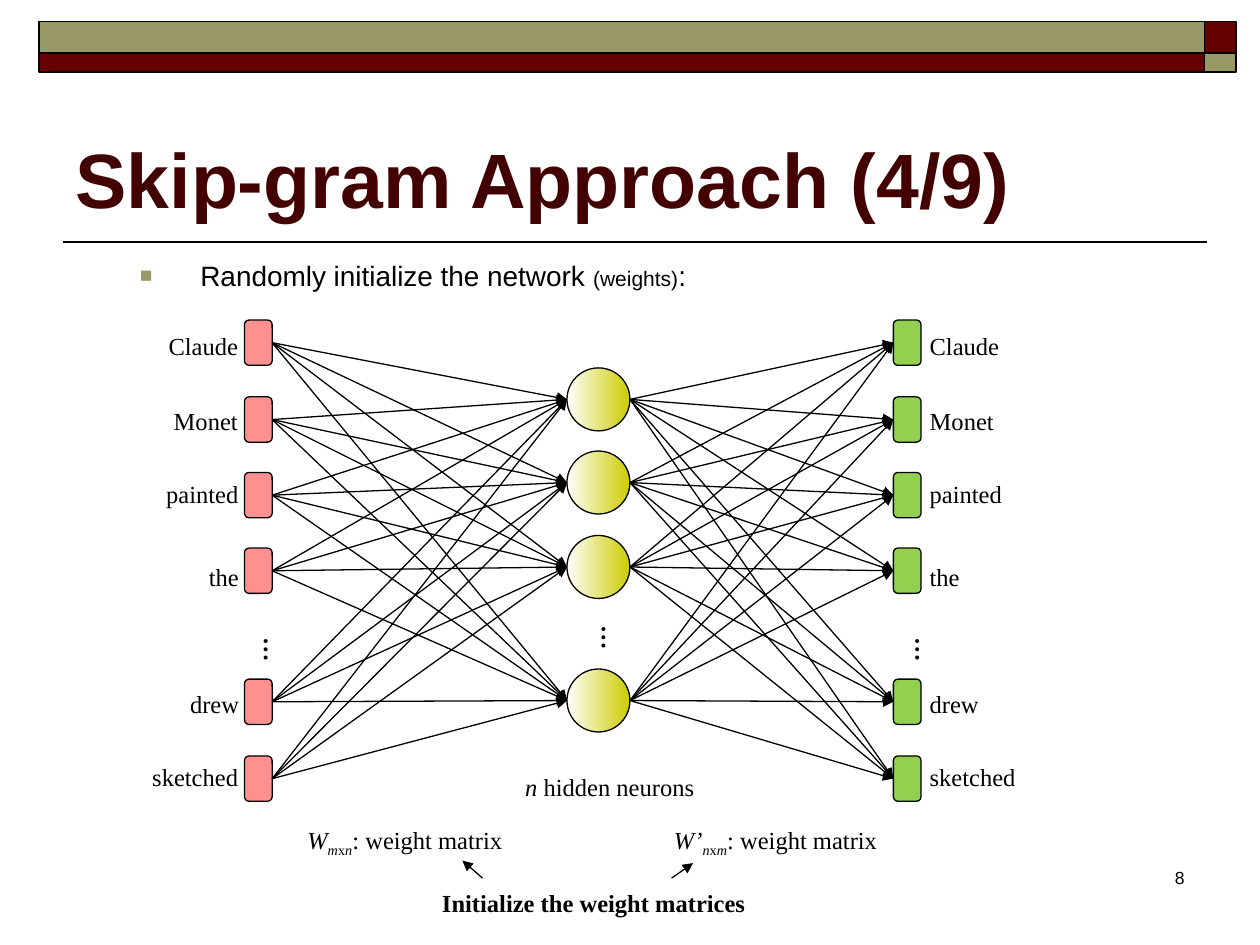
from itertools import product

from lxml.etree import SubElement
from pptx import Presentation
from pptx.dml.color import RGBColor
from pptx.enum.shapes import MSO_CONNECTOR, MSO_SHAPE
from pptx.enum.text import MSO_ANCHOR, MSO_AUTO_SIZE, PP_ALIGN
from pptx.oxml.ns import qn
from pptx.util import Inches, Pt

BLACK = RGBColor(0x00, 0x00, 0x00)
WHITE = RGBColor(0xFF, 0xFF, 0xFF)
MAROON = RGBColor(0x66, 0x00, 0x00)
DARK_MAROON = RGBColor(0x42, 0x00, 0x00)
OLIVE = RGBColor(0x99, 0x99, 0x66)
PINK = RGBColor(0xFF, 0x90, 0x90)
GREEN = RGBColor(0x92, 0xD0, 0x50)
YELLOW = RGBColor(0xCC, 0xCC, 0x00)
SANS = "Arial"
SERIF = "Times New Roman"

WORDS = [
    ("Claude", 0.76, 2.54, 2.58),
    ("Monet", 0.72, 3.15, 3.17),
    ("painted", 0.78, 3.75, 3.75),
    ("the", 0.44, 4.35, 4.41),
    ("drew", 0.59, 5.39, 5.42),
    ("sketched", 0.89, 6.0, 6.0),
]
NEURON_TOPS = [2.92, 3.58, 4.25, 5.31]
NEURON_SIZE = 0.5


def format_run(run, size, font=SANS, color=BLACK, bold=False, italic=False):
    run.font.size = Pt(size)
    run.font.name = font
    run.font.color.rgb = color
    run.font.bold = bold
    run.font.italic = italic


def add_node(slide, preset, left, top, width, height, color=None, line_width=0.75):
    node = slide.shapes.add_shape(
        preset, Inches(left), Inches(top), Inches(width), Inches(height))
    node.shadow.inherit = False
    node.line.color.rgb = BLACK
    node.line.width = Pt(line_width)
    if color is not None:
        node.fill.solid()
        node.fill.fore_color.rgb = color
    return node


def add_line(slide, start, end, width=0.75, arrow=True):
    line = slide.shapes.add_connector(
        MSO_CONNECTOR.STRAIGHT, *(Inches(value) for value in (*start, *end)))
    line.line.color.rgb = BLACK
    line.line.width = Pt(width)
    if arrow:
        SubElement(line.line._get_or_add_ln(), qn("a:tailEnd"), type="triangle")
    SubElement(line._element.spPr, qn("a:effectLst"))
    return line


def add_label(slide, left, top, width, pieces, height=0.34, size=14, font=SERIF,
              align=PP_ALIGN.LEFT):
    label = slide.shapes.add_textbox(
        Inches(left), Inches(top), Inches(width), Inches(height))
    label.text_frame.word_wrap = False
    paragraph = label.text_frame.paragraphs[0]
    paragraph.alignment = align
    for text, style in pieces:
        run = paragraph.add_run()
        run.text = text
        format_run(run, size, font, bold="b" in style, italic="i" in style)
        if "s" in style:
            run.font._element.set("baseline", "-25000")
    return label


def add_ellipsis(slide, left, top):
    dots = add_label(slide, left, top, 0.44, [("…", "b")], height=0.3)
    dots.text_frame._txBody.bodyPr.set("vert", "eaVert")


def add_header(slide, left, top, width):
    corner = 0.25
    bar = width - corner
    for row_top, height, colors in (
            (top, 0.25, (OLIVE, MAROON)), (top + 0.25, 0.15, (MAROON, OLIVE))):
        for x, part, color in zip((left, left + bar), (bar, corner), colors):
            add_node(slide, MSO_SHAPE.RECTANGLE, x, row_top, part, height, color, 1)


def place(placeholder, left, top, width, height):
    placeholder.left, placeholder.top = Inches(left), Inches(top)
    placeholder.width, placeholder.height = Inches(width), Inches(height)
    placeholder.text_frame.auto_size = MSO_AUTO_SIZE.NONE


def fill_title(slide, left, top, width, height):
    title = slide.shapes.title
    place(title, left, top, width, height)
    title.text_frame.text = "Skip-gram Approach (4/9)"
    title.text_frame.vertical_anchor = MSO_ANCHOR.BOTTOM
    heading = title.text_frame.paragraphs[0]
    heading.alignment = PP_ALIGN.LEFT
    format_run(heading.runs[0], 44, color=DARK_MAROON, bold=True)
    add_line(slide, (left, top + 1.34), (left + 9.08, top + 1.34), 1, arrow=False)


def fill_body(slide, left, top, width, height):
    body = slide.placeholders[1]
    place(body, left, top, width, height)
    bullet = body.text_frame.paragraphs[0]
    bullet.level = 1
    bullet.space_before = Pt(3)
    for text, size in (("Randomly initialize the network ", 16),
                       ("(weights)", 12), (":", 16)):
        run = bullet.add_run()
        run.text = text
        format_run(run, size)
    properties = bullet._p.get_or_add_pPr()
    properties.set("marL", str(Inches(0.99)))
    properties.set("indent", str(Inches(-0.48)))
    bullet_color = SubElement(properties, qn("a:buClr"))
    SubElement(bullet_color, qn("a:srgbClr"), val=str(OLIVE))
    SubElement(properties, qn("a:buSzPct"), val="75000")
    SubElement(properties, qn("a:buFont"), typeface=SANS)
    SubElement(properties, qn("a:buChar"), char="■")


def add_word_layer(slide, left, color, label_edge, dots_left, labels_before):
    nodes = []
    for word, width, node_top, label_top in WORDS:
        nodes.append(add_node(slide, MSO_SHAPE.ROUNDED_RECTANGLE,
                              left, node_top, 0.22, 0.36, color))
        label_left = label_edge - width if labels_before else label_edge
        add_label(slide, label_left, label_top, width, [(word, "")])
    add_ellipsis(slide, dots_left, 4.96)
    return nodes


def add_hidden_layer(slide, left):
    for top in NEURON_TOPS:
        neuron = add_node(slide, MSO_SHAPE.OVAL, left, top, NEURON_SIZE, NEURON_SIZE)
        neuron.fill.gradient()
        neuron.fill.gradient_angle = 0
        for stop, color in zip(neuron.fill.gradient_stops, (WHITE, YELLOW)):
            stop.color.rgb = color
    add_ellipsis(slide, left + 0.08, 4.87)
    add_label(slide, left - 0.43, 6.08, 1.6, [("n", "i"), (" hidden neurons", "")])


def add_network(slide, input_left, hidden_left, output_left):
    inputs = add_word_layer(slide, input_left, PINK, 2.0, 1.9, True)
    add_hidden_layer(slide, hidden_left)
    outputs = add_word_layer(slide, output_left, GREEN, 7.28, 7.07, False)
    neuron_middles = [top + NEURON_SIZE / 2 for top in NEURON_TOPS]
    for source, middle in product(inputs, neuron_middles):
        entry = (hidden_left, middle)
        add_line(slide, entry, entry).begin_connect(source, 3)
    for middle, target in product(neuron_middles, outputs):
        leaving = (hidden_left + NEURON_SIZE, middle)
        add_line(slide, leaving, leaving).end_connect(target, 1)


def add_matrix_notes(slide, top):
    for left, width, symbol, rows, columns in (
            (2.34, 1.79, "W", "m", "n"), (5.25, 1.85, "W’", "n", "m")):
        add_label(slide, left, top, width, [
            (symbol, "i"), (rows, "is"), ("x", "s"), (columns, "is"),
            (": weight matrix", "")])
    add_label(slide, 3.41, top + 0.5, 2.63, [("Initialize the weight matrices", "b")])
    add_line(slide, (3.83, top + 0.47), (3.67, top + 0.33))
    add_line(slide, (5.33, top + 0.47), (5.5, top + 0.35))


def main():
    deck = Presentation()
    deck.slide_width, deck.slide_height = Inches(10), Inches(7.5)
    slide = deck.slides.add_slide(deck.slide_layouts[1])
    add_header(slide, 0.31, 0.17, 9.5)
    fill_title(slide, 0.5, 0.58, 9, 1.25)
    fill_body(slide, 0.5, 2, 9, 4.7)
    add_network(slide, 1.94, 4.5, 7.09)
    add_matrix_notes(slide, 6.5)
    add_label(slide, 7.42, 6.83, 2.08, [("8", "")], height=0.5, size=10,
              font=SANS, align=PP_ALIGN.RIGHT)
    deck.save("out.pptx")


if __name__ == "__main__":
    main()
